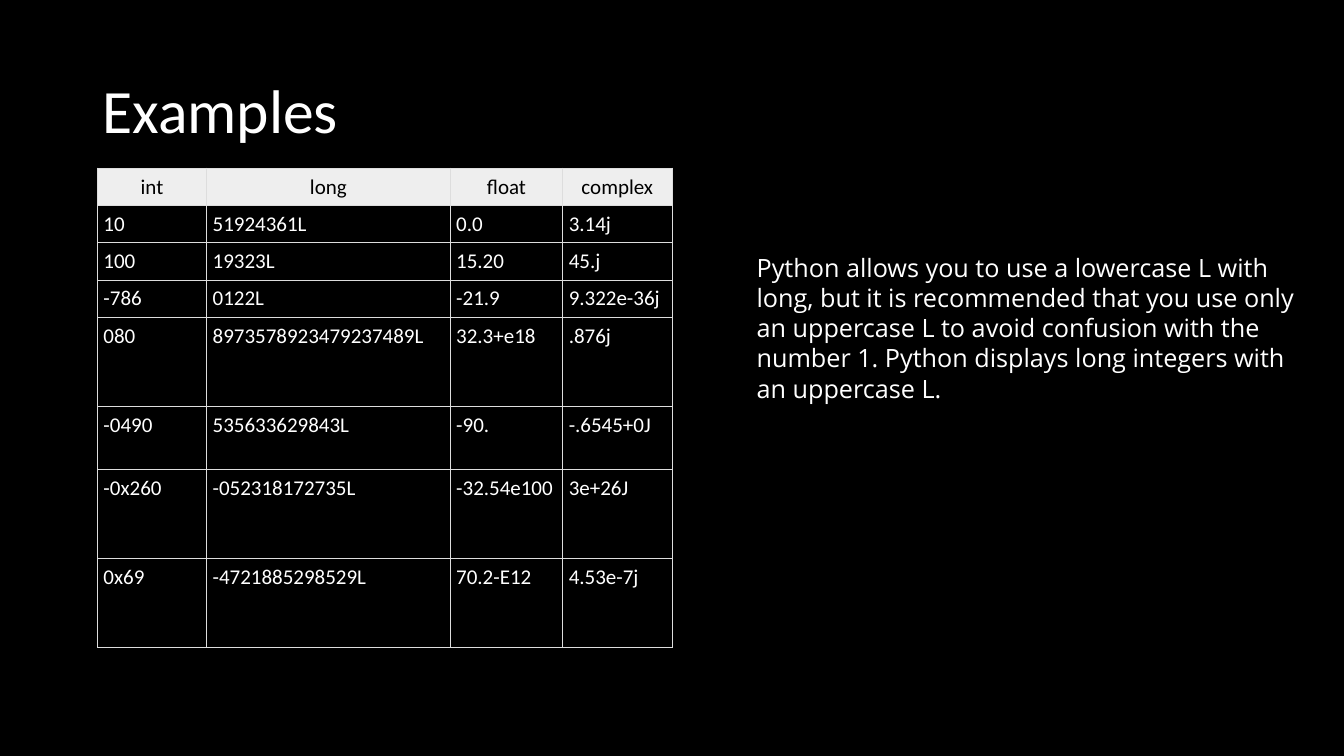
from dataclasses import dataclass

from lxml.etree import SubElement
from pptx import Presentation
from pptx.dml.color import RGBColor
from pptx.enum.text import MSO_VERTICAL_ANCHOR as Anchor, PP_PARAGRAPH_ALIGNMENT as Align
from pptx.oxml.ns import qn
from pptx.slide import Slide
from pptx.table import _Cell as Cell
from pptx.text.text import _Paragraph as Paragraph
from pptx.util import Inches, Length, Pt

GRID_COLUMNS, GRID_ROWS = 160, 90
SLIDE_WIDTH, SLIDE_HEIGHT = Inches(13.33), Inches(7.5)
COLORS = {"black": "000000", "white": "FFFFFF", "header": "EEEEEE", "border": "DDDDDD"}


@dataclass(frozen=True)
class TextStyle:
    font: str
    size: float
    color: str
    align: Align = Align.LEFT
    line_spacing: float = 1.0


@dataclass(frozen=True)
class TextBlock:
    text: str
    left: float
    top: float
    width: float
    height: float
    style: TextStyle
    anchor: Anchor = Anchor.TOP


@dataclass(frozen=True)
class NumberRow:
    height: float
    values: tuple[str, str, str, str]


HEADER_STYLE = TextStyle("Calibri", 15, "black", Align.CENTER)
NUMBER_STYLE = TextStyle("Calibri", 15, "white")

TEXT_BLOCKS = (
    TextBlock("Examples", 11, 4.8, 138, 17.4,
              TextStyle("Calibri", 44, "white", line_spacing=0.9), Anchor.MIDDLE),
    TextBlock("Python allows you to use a lowercase L with long, but it is recommended that "
              "you use only an uppercase L to avoid confusion with the number 1. "
              "Python displays long integers with an uppercase L.",
              88.9, 29.4, 68.4, 19.4, TextStyle("Open Sans", 18, "white")),
)

TABLE_LEFT, TABLE_TOP = 11.6, 20
TABLE_COLUMNS = (13, 29, 13.4, 13)
SHORT, MEDIUM, TALL = 4.44, 7.56, 10.6
NUMBER_ROWS = (
    NumberRow(SHORT, ("int", "long", "float", "complex")),
    NumberRow(SHORT, ("10", "51924361L", "0.0", "3.14j")),
    NumberRow(SHORT, ("100", "19323L", "15.20", "45.j")),
    NumberRow(SHORT, ("-786", "0122L", "-21.9", "9.322e-36j")),
    NumberRow(TALL, ("080", "8973578923479237489L", "32.3+e18", ".876j")),
    NumberRow(MEDIUM, ("-0490", "535633629843L", "-90.", "-.6545+0J")),
    NumberRow(TALL, ("-0x260", "-052318172735L", "-32.54e100", "3e+26J")),
    NumberRow(TALL, ("0x69", "-4721885298529L", "70.2-E12", "4.53e-7j")),
)


def across(columns: float) -> Length:
    return Length(round(SLIDE_WIDTH * columns / GRID_COLUMNS))


def down(rows: float) -> Length:
    return Length(round(SLIDE_HEIGHT * rows / GRID_ROWS))


def write(paragraph: Paragraph, text: str, style: TextStyle) -> None:
    paragraph.alignment = style.align
    paragraph.line_spacing = style.line_spacing
    run = paragraph.add_run()
    run.text = text
    run.font.name = style.font
    run.font.size = Pt(style.size)
    run.font.color.rgb = RGBColor.from_string(COLORS[style.color])


def add_text_block(slide: Slide, block: TextBlock) -> None:
    shape = slide.shapes.add_textbox(across(block.left), down(block.top),
                                     across(block.width), down(block.height))
    frame = shape.text_frame
    frame.word_wrap = True
    frame.vertical_anchor = block.anchor
    write(frame.paragraphs[0], block.text, block.style)


def add_borders(cell: Cell) -> None:
    properties = cell._tc.get_or_add_tcPr()
    for side in ("a:lnL", "a:lnR", "a:lnT", "a:lnB"):
        line = SubElement(properties, qn(side), w=str(Pt(0.6)))
        fill = SubElement(line, qn("a:solidFill"))
        SubElement(fill, qn("a:srgbClr"), val=COLORS["border"])


def fill_cell(cell: Cell, text: str, is_header: bool) -> None:
    cell.margin_left = cell.margin_right = Inches(0.06)
    cell.margin_top = cell.margin_bottom = Inches(0.06)
    add_borders(cell)
    if is_header:
        cell.fill.solid()
        cell.fill.fore_color.rgb = RGBColor.from_string(COLORS["header"])
    else:
        cell.fill.background()
    write(cell.text_frame.paragraphs[0], text, HEADER_STYLE if is_header else NUMBER_STYLE)


def add_number_table(slide: Slide) -> None:
    shape = slide.shapes.add_table(
        len(NUMBER_ROWS), len(TABLE_COLUMNS), across(TABLE_LEFT), down(TABLE_TOP),
        across(sum(TABLE_COLUMNS)), down(sum(row.height for row in NUMBER_ROWS)))
    table = shape.table
    table.first_row = table.horz_banding = False
    for column, width in zip(table.columns, TABLE_COLUMNS):
        column.width = across(width)
    for row_index, row in enumerate(NUMBER_ROWS):
        table.rows[row_index].height = down(row.height)
        for column_index, text in enumerate(row.values):
            fill_cell(table.cell(row_index, column_index), text, row_index == 0)


def main() -> None:
    presentation = Presentation()
    presentation.slide_width, presentation.slide_height = SLIDE_WIDTH, SLIDE_HEIGHT
    slide = presentation.slides.add_slide(presentation.slide_layouts[6])
    background = slide.background.fill
    background.solid()
    background.fore_color.rgb = RGBColor.from_string(COLORS["black"])
    title, remark = TEXT_BLOCKS
    add_text_block(slide, title)
    add_number_table(slide)
    add_text_block(slide, remark)
    presentation.save("out.pptx")


if __name__ == "__main__":
    main()
